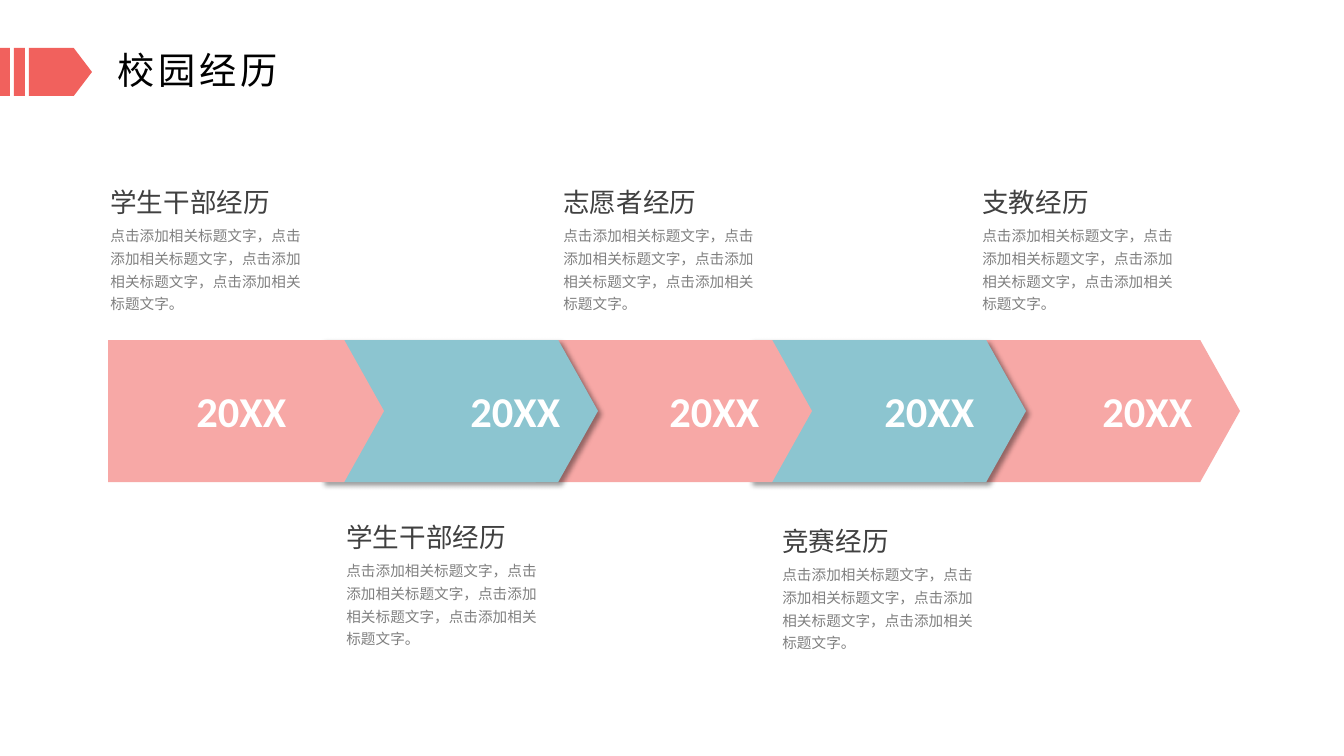
from lxml.etree import SubElement
from pptx import Presentation
from pptx.dml.color import RGBColor
from pptx.enum.shapes import MSO_SHAPE as SHAPE
from pptx.enum.text import MSO_ANCHOR as ANCHOR, MSO_AUTO_SIZE as FIT, PP_ALIGN as ALIGN
from pptx.oxml.ns import qn
from pptx.util import Pt

PX = 9565
FONT = "Calibri"
COLORS = {
    "pink": "F7A8A6", "teal": "8CC5D0", "red": "F1615D", "white": "FFFFFF",
    "title": "000000", "heading": "404040", "body": "808080",
}

TITLE = "校园经历"
BODY = "点击添加相关标题文字，" * 3 + "点击添加相关标题文字。"
STAGES = [
    {"year": "20XX", "year_x": 187, "heading": "学生干部经历", "x": 101, "y": 172},
    {"year": "20XX", "year_x": 461, "heading": "学生干部经历", "x": 337, "y": 507},
    {"year": "20XX", "year_x": 660, "heading": "志愿者经历", "x": 554, "y": 172},
    {"year": "20XX", "year_x": 875, "heading": "竞赛经历", "x": 773, "y": 511},
    {"year": "20XX", "year_x": 1093, "heading": "支教经历", "x": 973, "y": 172},
]
ARROW_X, ARROW_Y, ARROW_W, ARROW_H, ARROW_STEP = 108, 340, 276, 142, 214
MARK_Y, MARK_H = 48, 48
MARKS = [
    (SHAPE.PENTAGON, 29, 63),
    (SHAPE.RECTANGLE, 14, 11),
    (SHAPE.RECTANGLE, 0, 10),
]


def box(x, y, w, h):
    return [v * PX for v in (x, y, w, h)]


def write(sp, text, size, color, bold=False, spacing=1.0, tracking=0, fit=FIT.NONE):
    tf = sp.text_frame
    tf.word_wrap = True
    tf.auto_size = fit
    p = tf.paragraphs[0]
    p.alignment = ALIGN.LEFT
    p.line_spacing = spacing
    r = p.add_run()
    r.text = text
    r.font.name = FONT
    r.font.size = Pt(size)
    r.font.bold = bold
    r.font.color.rgb = RGBColor.from_string(COLORS[color])
    if tracking:
        r._r.get_or_add_rPr().set("spc", str(tracking * 100))


def add_text(s, area, text, size, color, **fmt):
    sp = s.shapes.add_textbox(*area)
    write(sp, text, size, color, fit=FIT.SHAPE_TO_FIT_TEXT, **fmt)


def add_block(s, kind, area, color):
    sp = s.shapes.add_shape(kind, *area)
    sp.shadow.inherit = False
    sp.fill.solid()
    sp.fill.fore_color.rgb = RGBColor.from_string(COLORS[color])
    sp.line.fill.background()
    return sp


def add_shadow(sp):
    effects = sp._element.spPr.find(qn("a:effectLst"))
    shadow = SubElement(effects, qn("a:outerShdw"), blurRad=str(Pt(4)),
                        dist=str(Pt(3)), dir="2700000", algn="tl", rotWithShape="0")
    black = SubElement(shadow, qn("a:srgbClr"), val="000000")
    SubElement(black, qn("a:alpha"), val="40000")


def main():
    prs = Presentation()
    prs.slide_width, prs.slide_height = 1344 * PX, 756 * PX
    s = prs.slides.add_slide(prs.slide_layouts[5])

    title = s.shapes.title
    title.left, title.top, title.width, title.height = box(108, 45, 353, 55)
    title.text_frame.vertical_anchor = ANCHOR.MIDDLE
    write(title, TITLE, 28, "title", spacing=0.9, tracking=3)

    for kind, x, w in MARKS:
        mark = add_block(s, kind, box(x, MARK_Y, w, MARK_H), "red")
        if kind == SHAPE.PENTAGON:
            mark.adjustments[0] = 0.38

    for i in reversed(range(len(STAGES))):
        area = box(ARROW_X + i * ARROW_STEP, ARROW_Y, ARROW_W, ARROW_H)
        arrow = add_block(s, SHAPE.PENTAGON, area, "teal" if i % 2 else "pink")
        arrow.adjustments[0] = 0.28
        if i % 2:
            add_shadow(arrow)

    for stage in STAGES:
        x, y = stage["x"], stage["y"]
        add_text(s, box(x, y + 45, 221, 101), BODY, 11, "body", spacing=1.3)
        add_text(s, box(x, y, 274, 50), stage["heading"], 20, "heading", spacing=1.3)
        add_text(s, box(stage["year_x"], 380, 127, 61), stage["year"], 32, "white", bold=True)

    prs.save("out.pptx")


if __name__ == "__main__":
    main()
